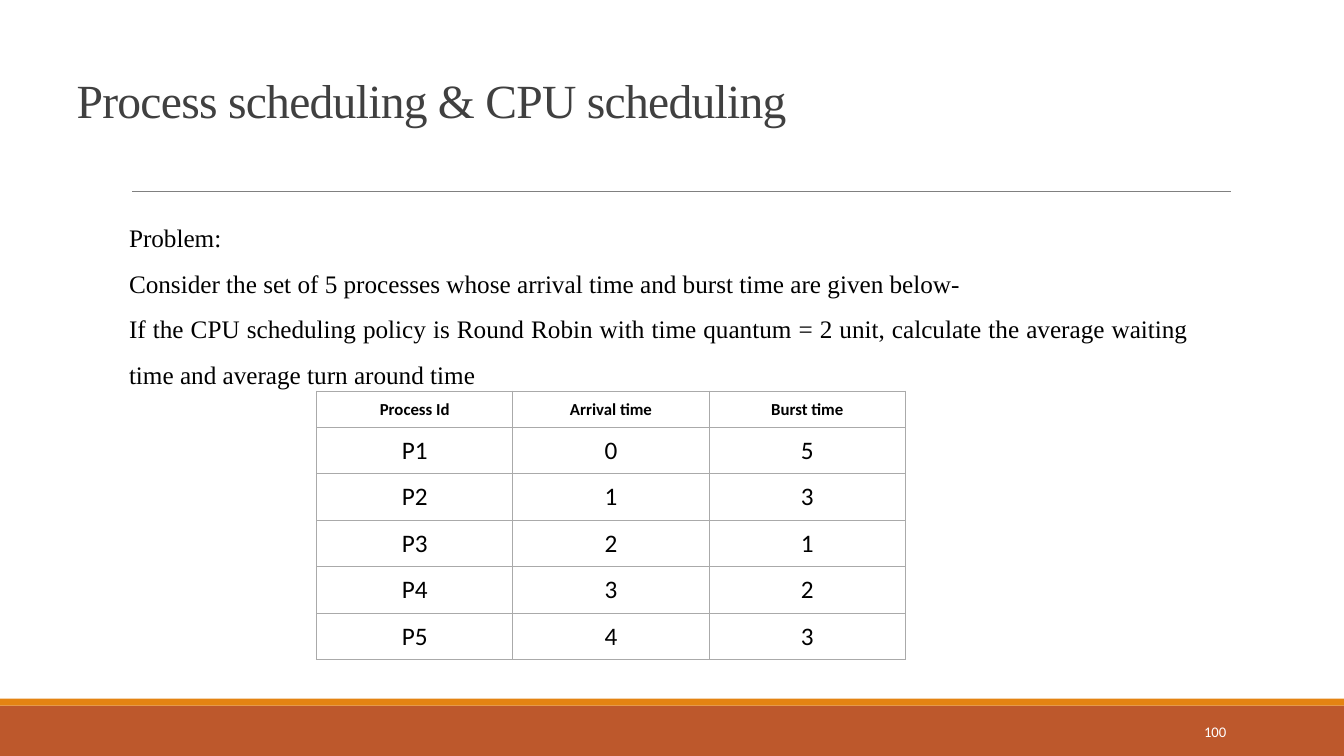
from lxml import etree
from pptx import Presentation
from pptx.dml.color import RGBColor
from pptx.enum.shapes import MSO_CONNECTOR, MSO_SHAPE
from pptx.enum.text import MSO_ANCHOR, MSO_AUTO_SIZE, PP_ALIGN
from pptx.oxml.ns import qn
from pptx.util import Inches, Pt

LEFT, MID, RIGHT, FULL = PP_ALIGN.LEFT, PP_ALIGN.CENTER, PP_ALIGN.RIGHT, PP_ALIGN.JUSTIFY
CENTER, LOW, TOP = MSO_ANCHOR.MIDDLE, MSO_ANCHOR.BOTTOM, MSO_ANCHOR.TOP
FIXED, GROW = MSO_AUTO_SIZE.NONE, MSO_AUTO_SIZE.SHAPE_TO_FIT_TEXT
RECT, LINE = MSO_SHAPE.RECTANGLE, MSO_CONNECTOR.STRAIGHT

HUES = {
    "rust": "BD582C", "amber": "E48312", "rule": "808080", "edge": "AAAAAA",
    "white": "FFFFFF", "black": "000000", "gray": "404040",
}
SERIF, SANS = "Times New Roman", "Calibri"
LINES = [
    "Problem:",
    "Consider the set of 5 processes whose arrival time and burst time are given below-",
    "If the CPU scheduling policy is Round Robin with time quantum = 2 unit, "
    "calculate the average waiting time and average turn around time",
]
ROWS = [
    ("Process Id", "Arrival time", "Burst time"),
    ("P1", "0", "5"),
    ("P2", "1", "3"),
    ("P3", "2", "1"),
    ("P4", "3", "2"),
    ("P5", "4", "3"),
]


def hue(name):
    return RGBColor.from_string(HUES[name])


def put(item, values):
    for name, value in values.items():
        setattr(item, name, value)


class Page:
    def __init__(self, deck):
        self.wide, self.high = deck.slide_width, deck.slide_height
        self.slide = deck.slides.add_slide(deck.slide_layouts[1])
        self.shapes = self.slide.shapes

    def area(self, x, y, w, h):
        return [int(side * share / 100) for side, share in
                zip((self.wide, self.high) * 2, (x, y, w, h))]

    def bar(self, box, color):
        shape = self.shapes.add_shape(RECT, *self.area(*box))
        shape.shadow.inherit = False
        shape.fill.solid()
        shape.fill.fore_color.rgb = hue(color)
        shape.line.fill.background()

    def rule(self, ends, color, width):
        line = self.shapes.add_connector(LINE, *self.area(*ends))
        line.line.color.rgb = hue(color)
        line.line.width = Pt(width)
        etree.SubElement(line._element.spPr, qn("a:effectLst"))

    def fill(self, frame, lines, font, color, para):
        for at, text in enumerate(lines):
            part = frame.paragraphs[0] if at == 0 else frame.add_paragraph()
            put(part, para)
            run = part.add_run()
            run.text = text
            put(run.font, font)
            run.font.color.rgb = hue(color)

    def text(self, shape, box, lines, font, color, para, frame):
        put(shape, dict(zip(("left", "top", "width", "height"), self.area(*box))))
        put(shape.text_frame, {"word_wrap": True, **frame})
        self.fill(shape.text_frame, lines, font, color, para)

    def title(self, box, words):
        shape = self.shapes.title
        self.text(shape, box, [words], {"name": SERIF, "size": Pt(34)}, "gray",
                  {"alignment": LEFT, "line_spacing": 0.85},
                  {"vertical_anchor": LOW, "auto_size": FIXED})
        run = shape.text_frame.paragraphs[0].runs[0]
        run._r.get_or_add_rPr().set("spc", "-50")

    def body(self, box, lines):
        shape = self.slide.placeholders[1]
        self.text(shape, box, lines, {"name": SERIF, "size": Pt(18)}, "black",
                  {"alignment": FULL, "line_spacing": 1.5, "space_before": Pt(0)},
                  {"vertical_anchor": TOP, "auto_size": GROW})
        for part in shape.text_frame.paragraphs:
            props = part._p.get_or_add_pPr()
            props.set("marL", "0")
            props.set("indent", "0")
            etree.SubElement(props, qn("a:buNone"))

    def number(self, box, words):
        shape = self.shapes.add_textbox(*self.area(*box))
        self.text(shape, box, [words], {"name": SANS, "size": Pt(10.5)}, "white",
                  {"alignment": RIGHT}, {"vertical_anchor": CENTER})

    def border(self, cell, color, width):
        props = cell._tc.get_or_add_tcPr()
        for side in "LRTB":
            line = etree.SubElement(props, qn("a:ln" + side), w=str(Pt(width)))
            paint = etree.SubElement(line, qn("a:solidFill"))
            etree.SubElement(paint, qn("a:srgbClr"), val=HUES[color])

    def table(self, box, rows):
        grid = self.shapes.add_table(len(rows), len(rows[0]), *self.area(*box)).table
        put(grid, {"first_row": False, "horz_banding": False})
        pads = {"margin_left": Inches(0.1), "margin_right": Inches(0.1),
                "margin_top": Inches(0.08), "margin_bottom": Inches(0.08)}
        for y, row in enumerate(rows):
            font = {"name": SANS, "size": Pt(18 if y else 12), "bold": y == 0}
            for x, words in enumerate(row):
                cell = grid.cell(y, x)
                put(cell, {"vertical_anchor": CENTER, **pads})
                self.border(cell, "edge", 0.75)
                cell.fill.solid()
                cell.fill.fore_color.rgb = hue("white")
                self.fill(cell.text_frame, [words], font, "black", {"alignment": MID})


def main():
    deck = Presentation()
    put(deck, {"slide_width": Inches(13.33), "slide_height": Inches(7.5)})
    page = Page(deck)
    page.bar((0, 93.33, 100, 6.67), "rust")
    page.bar((0, 92.4, 100, 0.93), "amber")
    page.rule((9.83, 25.33, 91.6, 25.33), "rule", 0.5)
    page.number((81.25, 94.13, 10.73, 5.33), "100")
    page.title((4.95, 5.07, 92.35, 12.53), "Process scheduling & CPU scheduling")
    page.body((8.85, 26.8, 80.35, 24.8), LINES)
    page.table((23.56, 51.73, 43.81, 18.4), ROWS)
    deck.save("out.pptx")


if __name__ == "__main__":
    main()
